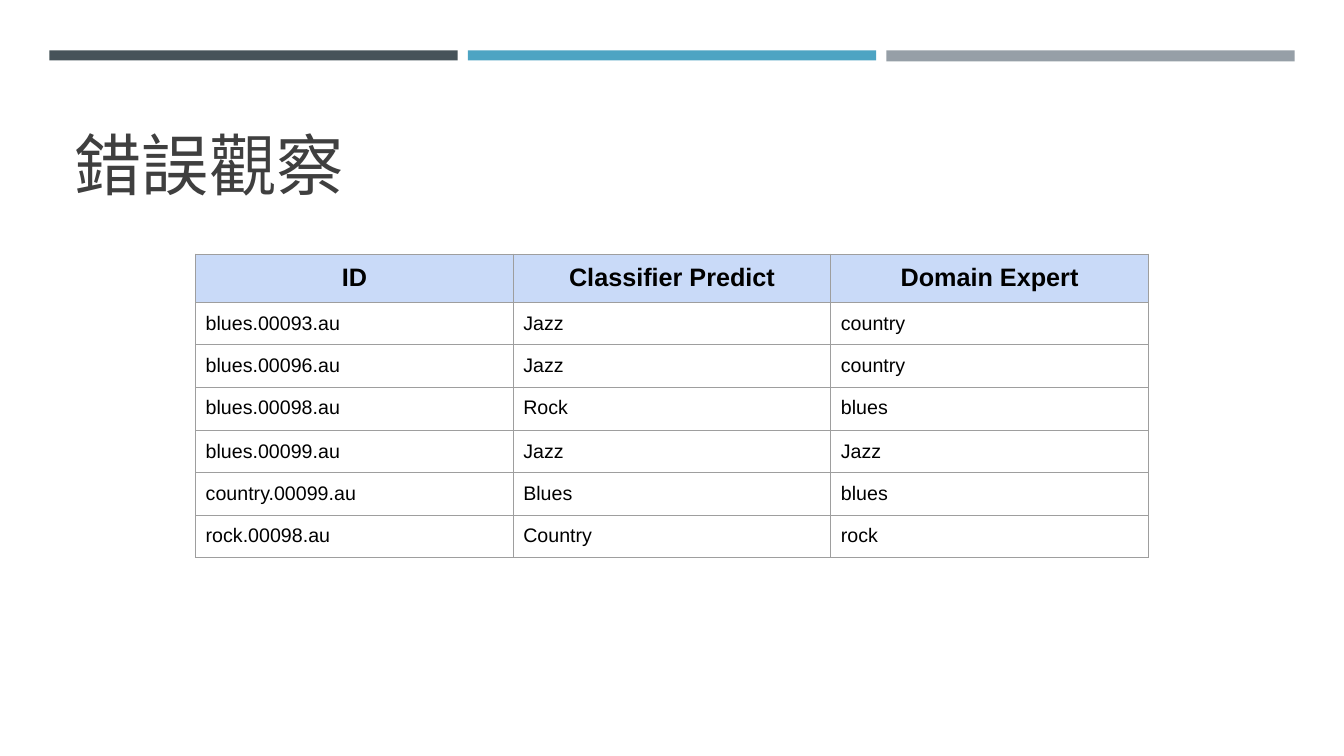
from dataclasses import dataclass

from lxml import etree
from pptx import Presentation
from pptx.dml.color import RGBColor
from pptx.enum import shapes, text
from pptx.oxml import ns
from pptx.slide import Slide
from pptx.table import _Cell
from pptx.util import Inches, Pt


@dataclass(frozen=True)
class Theme:
    font: str = "Arial"
    title_color: str = "3F3F3F"
    text_color: str = "000000"
    header_fill: str = "C9DAF8"
    border_color: str = "9E9E9E"
    title_size: int = 48
    header_size: int = 18
    body_size: int = 14
    border_width: float = 0.75


@dataclass(frozen=True)
class Bar:
    color: str
    height: float


@dataclass(frozen=True)
class Observation:
    track: str
    predicted: str
    expert: str


THEME = Theme()
BARS = [Bar("465359", 0.1), Bar("4DA4C3", 0.1), Bar("969FA7", 0.11)]
BAR_LEFT, BAR_TOP, BAR_WIDTH, BAR_STEP = 0.49, 0.5, 4.05, 4.15
HEADINGS = Observation("ID", "Classifier Predict", "Domain Expert")
OBSERVATIONS = [
    Observation("blues.00093.au", "Jazz", "country"),
    Observation("blues.00096.au", "Jazz", "country"),
    Observation("blues.00098.au", "Rock", "blues"),
    Observation("blues.00099.au", "Jazz", "Jazz"),
    Observation("country.00099.au", "Blues", "blues"),
    Observation("rock.00098.au", "Country", "rock"),
]
COLUMN_WIDTH, ROW_HEIGHT, TALL_ROW, TALL_HEIGHT = 3.15, 0.42, 3, 0.43


def style_paragraph(para, size: int, color: str, bold: bool = False) -> None:
    para.font.name = THEME.font
    para.font.size = Pt(size)
    para.font.bold = bold
    para.font.color.rgb = RGBColor.from_string(color)


def add_bars(page: Slide) -> None:
    for index, bar in enumerate(BARS):
        box = page.shapes.add_shape(
            shapes.MSO_SHAPE.RECTANGLE, Inches(BAR_LEFT + index * BAR_STEP),
            Inches(BAR_TOP), Inches(BAR_WIDTH), Inches(bar.height))
        box.shadow.inherit = False
        box.fill.solid()
        box.fill.fore_color.rgb = RGBColor.from_string(bar.color)
        box.line.fill.background()


def set_title(page: Slide, wording: str) -> None:
    title = page.shapes.title
    title.left, title.top = Inches(0.64), Inches(0.77)
    title.width, title.height = Inches(12.06), Inches(1.3)
    frame = title.text_frame
    frame.text = wording
    frame.auto_size = text.MSO_AUTO_SIZE.NONE
    frame.vertical_anchor = text.MSO_ANCHOR.BOTTOM
    para = frame.paragraphs[0]
    para.alignment = text.PP_ALIGN.LEFT
    style_paragraph(para, THEME.title_size, THEME.title_color)


def add_borders(cell: _Cell) -> None:
    """Outline all four sides; call before setting the cell's fill."""
    properties = cell._tc.get_or_add_tcPr()
    for side in ("a:lnL", "a:lnR", "a:lnT", "a:lnB"):
        line = etree.SubElement(properties, ns.qn(side), w=str(Pt(THEME.border_width)))
        fill = etree.SubElement(line, ns.qn("a:solidFill"))
        etree.SubElement(fill, ns.qn("a:srgbClr"), val=THEME.border_color)


def fill_cell(cell: _Cell, wording: str, is_header: bool) -> None:
    cell.text = wording
    cell.margin_left = cell.margin_right = Inches(0.1)
    cell.margin_top = cell.margin_bottom = Inches(0.1)
    add_borders(cell)
    para = cell.text_frame.paragraphs[0]
    if is_header:
        cell.fill.solid()
        cell.fill.fore_color.rgb = RGBColor.from_string(THEME.header_fill)
        para.alignment = text.PP_ALIGN.CENTER
    else:
        cell.fill.background()
    size = THEME.header_size if is_header else THEME.body_size
    style_paragraph(para, size, THEME.text_color, bold=is_header)


def add_observation_table(page: Slide) -> None:
    rows = [HEADINGS, *OBSERVATIONS]
    table = page.shapes.add_table(
        len(rows), 3, Inches(1.94), Inches(2.52),
        Inches(3 * COLUMN_WIDTH), Inches(len(rows) * ROW_HEIGHT)).table
    table.horz_banding = False
    for column in table.columns:
        column.width = Inches(COLUMN_WIDTH)
    for index, row in enumerate(rows):
        table.rows[index].height = Inches(TALL_HEIGHT if index == TALL_ROW else ROW_HEIGHT)
        for column, wording in enumerate((row.track, row.predicted, row.expert)):
            fill_cell(table.cell(index, column), wording, is_header=index == 0)


def main() -> None:
    deck = Presentation()
    deck.slide_width, deck.slide_height = Inches(13.33), Inches(7.5)
    page = deck.slides.add_slide(deck.slide_layouts.get_by_name("Title Only"))
    add_bars(page)
    set_title(page, "錯誤觀察")
    add_observation_table(page)
    deck.save("out.pptx")


if __name__ == "__main__":
    main()
